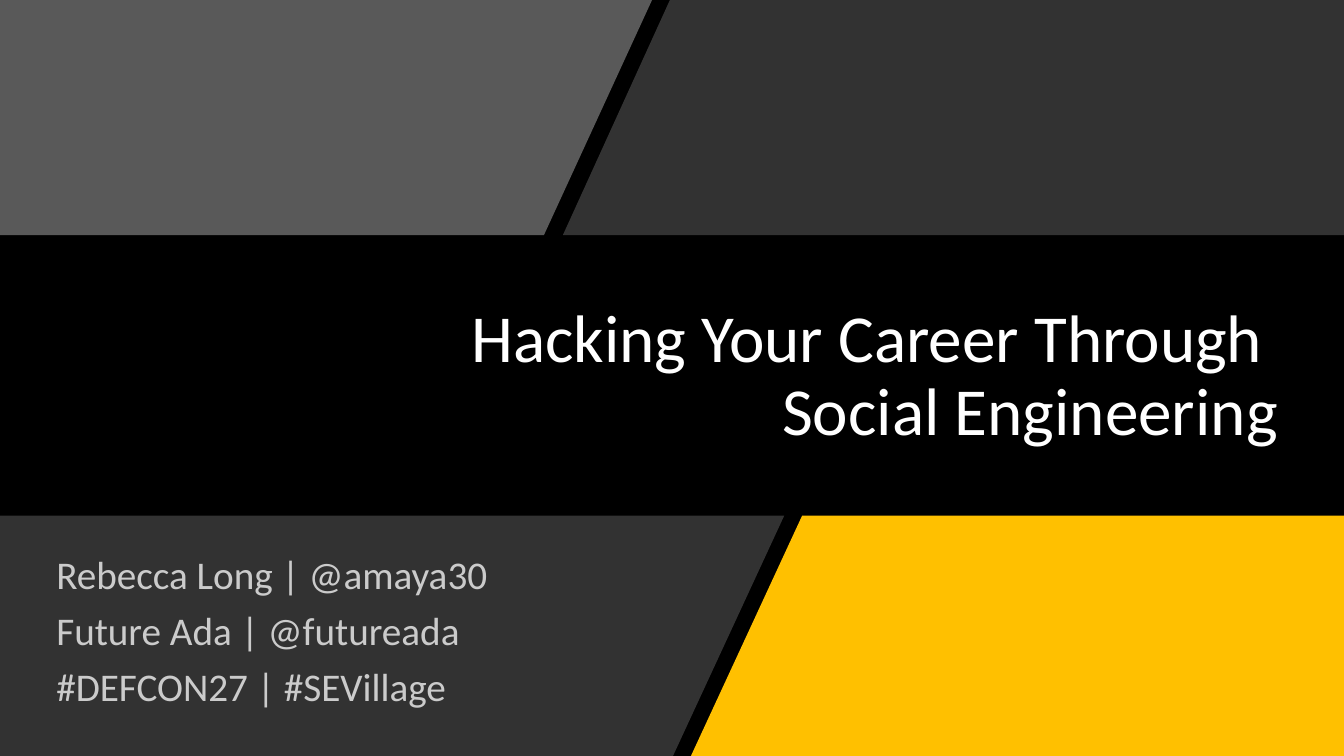
"""Build the title slide: black band, slanted panels, title and speaker lines."""
from lxml import etree
from pptx import Presentation
from pptx.dml.color import RGBColor
from pptx.enum.text import MSO_ANCHOR, MSO_AUTO_SIZE, PP_ALIGN
from pptx.oxml.ns import qn
from pptx.util import Pt

PX = 9525
W, H = 1280, 720
BAND_TOP, BAND_BOTTOM = 224, 491
BLACK = RGBColor(0x00, 0x00, 0x00)
WHITE = RGBColor(0xFF, 0xFF, 0xFF)
DARK_GREY = RGBColor(0x59, 0x59, 0x59)
GREY = RGBColor(0x7F, 0x7F, 0x7F)
AMBER = RGBColor(0xFF, 0xC0, 0x00)


def fill_placeholder(sp, box, text, size, align, anchor, space=0):
    sp.left, sp.top, sp.width, sp.height = (v * PX for v in box)
    tf = sp.text_frame
    tf.text = text
    tf.word_wrap = True
    tf.auto_size = MSO_AUTO_SIZE.NONE
    tf.vertical_anchor = anchor
    for i, p in enumerate(tf.paragraphs):
        p.alignment = align
        p.line_spacing = 0.9
        p.space_before = Pt(space if i else 0)
        for r in p.runs:
            r.font.name = "Calibri"
            r.font.size = Pt(size)
            r.font.color.rgb = WHITE


def add_panel(s, top, bottom, left, right, color, alpha=None):
    """Draw a panel whose left and right edges are (top x, bottom x) pairs."""
    fb = s.shapes.build_freeform(left[0], top, scale=PX)
    fb.add_line_segments([(right[0], top), (right[1], bottom), (left[1], bottom)])
    sp = fb.convert_to_shape()
    sp.shadow.inherit = False
    sp.line.fill.background()
    sp.fill.solid()
    sp.fill.fore_color.rgb = color
    if alpha:
        clr = sp.fill._xPr.find(qn("a:solidFill"))[0]
        etree.SubElement(clr, qn("a:alpha")).set("val", str(alpha * 1000))


def main():
    prs = Presentation()
    prs.slide_width, prs.slide_height = W * PX, H * PX
    s = prs.slides.add_slide(prs.slide_layouts[0])
    s.background.fill.solid()
    s.background.fill.fore_color.rgb = BLACK

    fill_placeholder(s.shapes.title, (267, 280, 960, 153),
                     "Hacking Your Career Through \vSocial Engineering",
                     48, PP_ALIGN.RIGHT, MSO_ANCHOR.BOTTOM)
    fill_placeholder(s.placeholders[1], (44, 524, 557, 177),
                     "Rebecca Long | @amaya30\nFuture Ada | @futureada\n#DEFCON27 | #SEVillage",
                     28, PP_ALIGN.LEFT, MSO_ANCHOR.TOP, space=10)

    add_panel(s, 0, BAND_TOP, (0, 0), (621, 518), DARK_GREY)
    add_panel(s, 0, BAND_TOP, (638, 536), (W, W), GREY, alpha=40)
    add_panel(s, BAND_BOTTOM, H, (752, 646), (1120, 1120), BLACK)
    add_panel(s, BAND_BOTTOM, H, (764, 658), (W, W), AMBER)
    add_panel(s, BAND_BOTTOM, H, (0, 0), (747, 641), GREY, alpha=40)
    prs.save("out.pptx")


if __name__ == "__main__":
    main()
